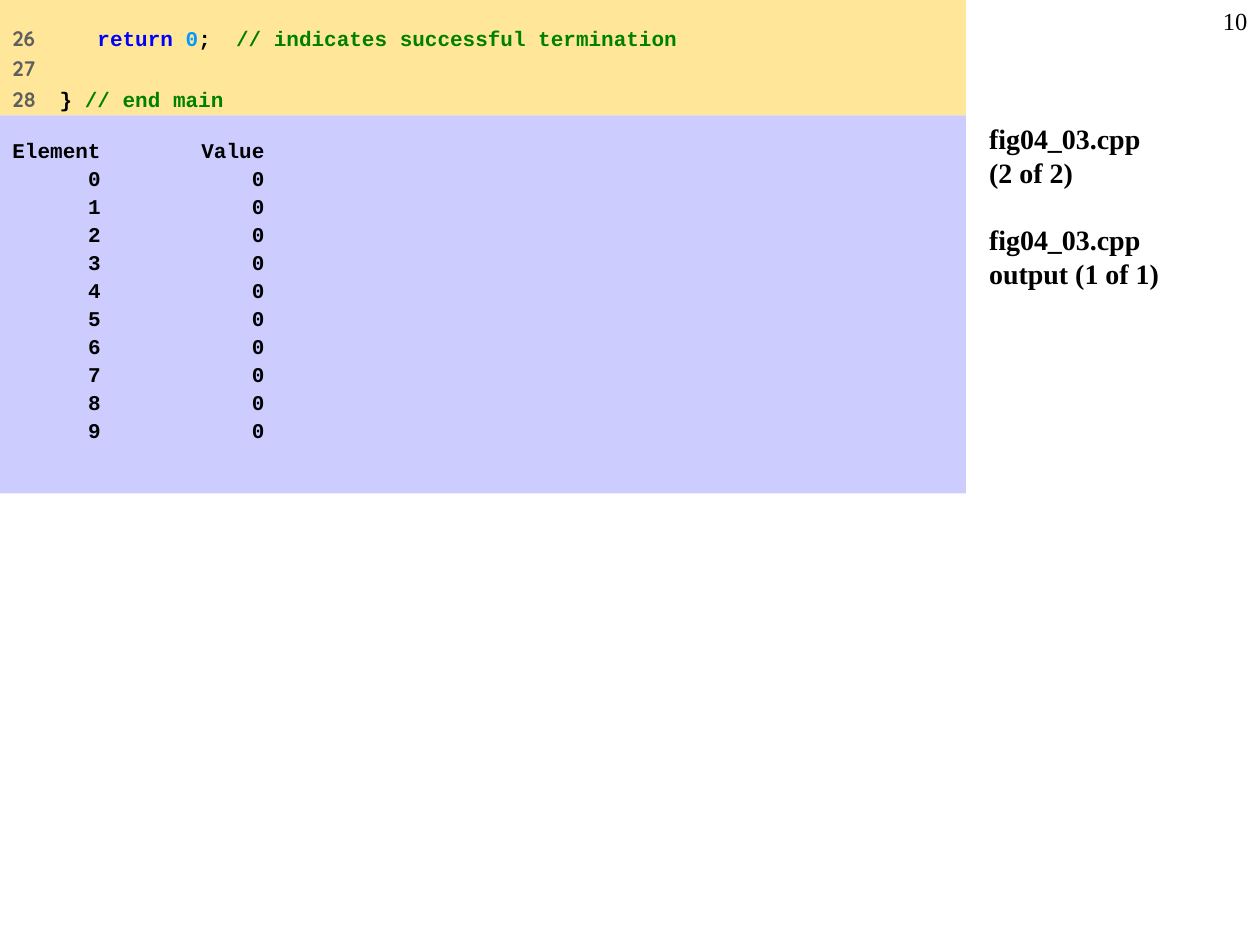
from lxml import etree
from pptx import Presentation
from pptx.dml.color import RGBColor
from pptx.enum import shapes, text
from pptx.oxml import ns
from pptx.util import Pt

hues = {
    "black": "000000", "gray": "5F5F5F", "blue": "0000FF", "sky": "0099FF",
    "green": "008000", "cream": "FFE699", "lilac": "CCCCFF",
}
mono, serif, sans = "Courier New", "Times New Roman", "Quicksand"
wide, split = 552, 66

deck = Presentation()
deck.slide_width, deck.slide_height = Pt(720), Pt(540)
page = deck.slides.add_slide(deck.slide_layouts[5])


def write(box, lines, size, bold=True, align="LEFT", pad=3.6, gap=0, lead=None, tabs=()):
    frame = box.text_frame
    frame.word_wrap = True
    frame.auto_size = text.MSO_AUTO_SIZE.NONE
    frame.vertical_anchor = text.MSO_ANCHOR.TOP
    frame.margin_left = frame.margin_right = Pt(7.2)
    frame.margin_top = frame.margin_bottom = Pt(pad)
    for num, line in enumerate(lines):
        para = frame.add_paragraph() if num else frame.paragraphs[0]
        para.alignment = getattr(text.PP_ALIGN, align)
        para.space_before = Pt(gap if num else 0)
        if lead:
            para.line_spacing = lead
        if tabs:
            stops = etree.SubElement(para._p.get_or_add_pPr(), ns.qn("a:tabLst"))
            for place, side in tabs:
                etree.SubElement(stops, ns.qn("a:tab"), pos=str(Pt(place)), algn=side)
        for words, face, hue in line:
            for row, part in enumerate(words.split("\n")):
                if row:
                    para.add_line_break()
                run = para.add_run()
                run.text = part
                run.font.name, run.font.size, run.font.bold = face, Pt(size), bold
                run.font.color.rgb = RGBColor.from_string(hues[hue])


num = page.shapes.add_textbox(Pt(684), Pt(0), Pt(36), Pt(36))
write(num, [[("10", serif, "black")]], 14, bold=False, align="RIGHT")

title = page.shapes.title
title.left, title.top, title.width, title.height = Pt(558), Pt(split), Pt(162), Pt(378)
names = ["fig04_03.cpp\n(2 of 2)", "fig04_03.cpp\noutput (1 of 1)"]
write(title, [[(name, serif, "black")] for name in names], 16, gap=19.2, lead=Pt(19.2))

code = [
    [("26\t", sans, "gray"), ("   return ", mono, "blue"), ("0", mono, "sky"),
     (";  ", mono, "black"), ("// indicates successful termination", mono, "green")],
    [("27", sans, "gray")],
    [("28\t", sans, "gray"), ("} ", mono, "black"), ("// end main", mono, "green")],
]
rows = [("Element", "Value")] + [(i, 0) for i in range(10)]
out = [[(f"\t{key}\t{val}", mono, "black")] for key, val in rows]

panels = [
    (0, split, "cream", code, None, [(27, "l")]),
    (split, 216, "lilac", out, 0.9, [(50.4, "r"), (144, "r")]),
]
for top, high, hue, lines, lead, tabs in panels:
    panel = page.shapes.add_shape(
        shapes.MSO_SHAPE.RECTANGLE, Pt(0), Pt(top), Pt(wide), Pt(high))
    panel.shadow.inherit = False
    panel.fill.solid()
    panel.fill.fore_color.rgb = RGBColor.from_string(hues[hue])
    panel.line.fill.background()
    write(panel, lines, 12, pad=14.4, gap=3, lead=lead, tabs=tabs)

deck.save("out.pptx")
